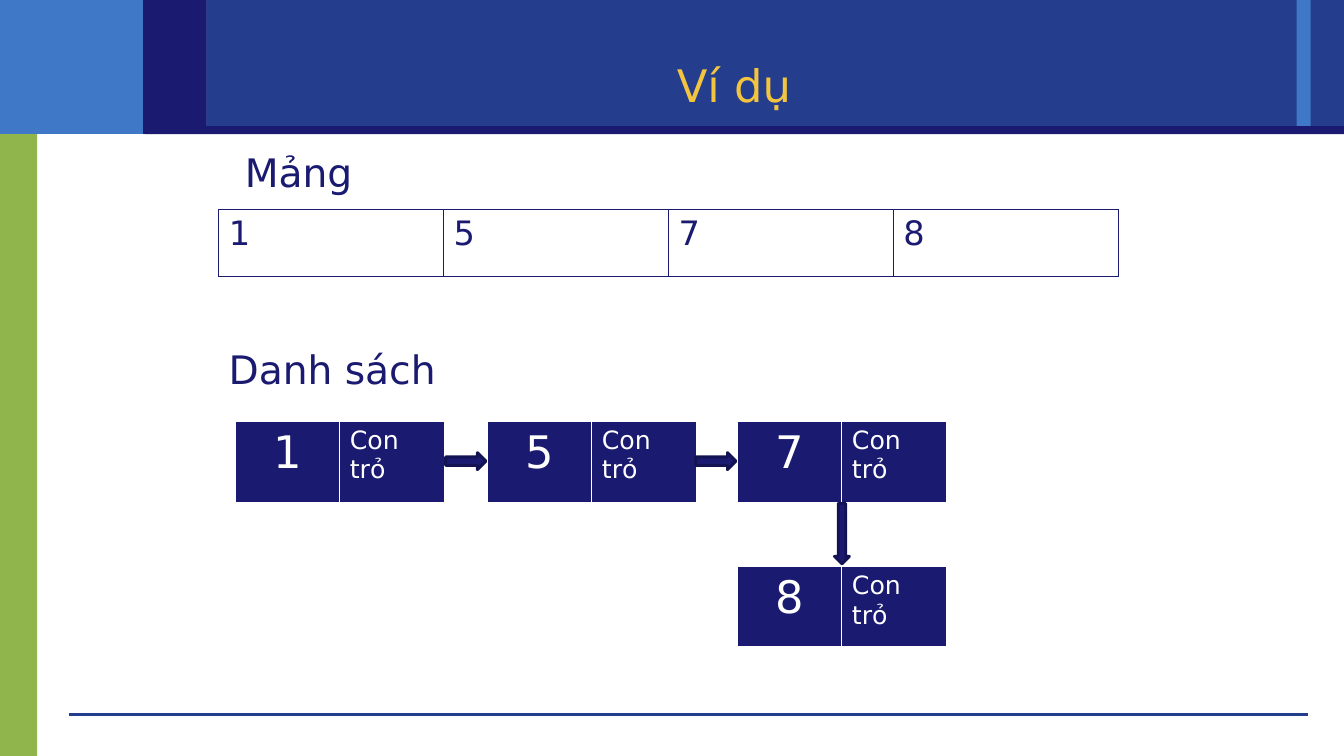
from lxml import etree
from pptx import Presentation
from pptx.dml.color import RGBColor
from pptx.enum import shapes, text
from pptx.oxml import ns
from pptx.util import Inches, Pt

FONT = "DejaVu Sans"
NAVY, BLUE, SKY = "1A1A70", "243D8C", "3E78C6"
GREEN, GOLD, WHITE, EDGE = "90B54D", "F3C43F", "FFFFFF", "131353"
LEFT, CENTER = text.PP_ALIGN.LEFT, text.PP_ALIGN.CENTER
ARRAY_BORDERS = {side: (NAVY, 1) for side in "LRTB"}
NODE_BORDERS = {"L": (WHITE, 1), "R": (WHITE, 1), "T": (WHITE, 1), "B": (WHITE, 3)}


def color(value):
    """Turn a hex string into a colour."""
    return RGBColor.from_string(value)


def write(frame, words, size, ink, align=LEFT):
    """Write one formatted run in a text frame."""
    para = frame.paragraphs[0]
    para.alignment = align
    span = para.add_run()
    span.text = words
    span.font.name = FONT
    span.font.size = Pt(size)
    span.font.color.rgb = color(ink)


def add_block(page, kind, place, fill, edge=None, turn=0):
    """Add a filled preset shape, outlined when an edge colour is given."""
    block = page.shapes.add_shape(kind, *map(Inches, place))
    block.shadow.inherit = False
    block.fill.solid()
    block.fill.fore_color.rgb = color(fill)
    block.rotation = turn
    if edge:
        block.line.color.rgb = color(edge)
        block.line.width = Pt(2)
    else:
        block.line.fill.background()


def add_rule(page, left, right, top):
    """Add the thin horizontal line at the foot."""
    rule = page.shapes.add_connector(
        shapes.MSO_CONNECTOR.STRAIGHT, Inches(left), Inches(top), Inches(right), Inches(top))
    rule.line.color.rgb = color(BLUE)
    rule.line.width = Pt(0)
    etree.SubElement(rule.element.spPr, ns.qn("a:effectLst"))


def add_title(page, words):
    """Place the title placeholder in front of the header band."""
    title = page.shapes.title
    title.left, title.top, title.width, title.height = map(Inches, (2, 0.51, 10.56, 0.66))
    title.text_frame.vertical_anchor = text.MSO_ANCHOR.MIDDLE
    write(title.text_frame, words, 32, GOLD, CENTER)
    title.element.getparent().append(title.element)


def add_label(page, place, words):
    """Add a section label."""
    frame = page.shapes.add_textbox(*map(Inches, place)).text_frame
    frame.word_wrap = True
    frame.auto_size = text.MSO_AUTO_SIZE.SHAPE_TO_FIT_TEXT
    write(frame, words, 28, NAVY)


def set_borders(cell, borders):
    """Draw the sides of a table cell."""
    properties = cell._tc.get_or_add_tcPr()
    for index, (side, (ink, width)) in enumerate(borders.items()):
        line = etree.Element(ns.qn(f"a:ln{side}"), w=str(Pt(width)))
        fill = etree.SubElement(line, ns.qn("a:solidFill"))
        etree.SubElement(fill, ns.qn("a:srgbClr"), val=ink)
        properties.insert(index, line)


def add_row(page, place, entries, ink, borders, fill=None):
    """Add a one-row table from (words, size, alignment) entries."""
    table = page.shapes.add_table(1, len(entries), *map(Inches, place)).table
    table.first_row = table.horz_banding = False
    for cell, entry in zip(table.iter_cells(), entries):
        words, size, align = entry
        if fill:
            cell.fill.solid()
            cell.fill.fore_color.rgb = color(fill)
        else:
            cell.fill.background()
        set_borders(cell, borders)
        write(cell.text_frame, words, size, ink, align)


def add_node(page, left, top, height, value):
    """Add a list node holding a value and a pointer."""
    entries = [(value, 32, CENTER), ("Con trỏ", 18, LEFT)]
    add_row(page, (left, top, 2.08, height), entries, WHITE, NODE_BORDERS, NAVY)


def main():
    """Build the slide."""
    deck = Presentation()
    deck.slide_width, deck.slide_height = Inches(13.33), Inches(7.5)
    page = deck.slides.add_slide(deck.slide_layouts[5])
    rectangle = shapes.MSO_SHAPE.RECTANGLE
    for place, fill in (
        ((0, 1.07, 0.37, 6.43), GREEN),
        ((0, 0, 2.05, 1.33), SKY),
        ((2.05, 0, 11.28, 1.33), BLUE),
        ((12.86, 0, 0.14, 1.25), SKY),
        ((1.44, 1.25, 11.89, 0.08), NAVY),
        ((1.42, 0, 0.63, 1.33), NAVY),
    ):
        add_block(page, rectangle, place, fill)
    add_rule(page, 0.68, 12.97, 7.09)
    add_title(page, "Ví dụ")

    numbers = [(value, 24, LEFT) for value in "1578"]
    add_row(page, (2.17, 2.08, 8.92, 0.66), numbers, NAVY, ARRAY_BORDERS)
    add_label(page, (2.33, 1.42, 2.25, 0.57), "Mảng")
    add_label(page, (2.17, 3.38, 3.33, 0.57), "Danh sách")

    for value, left in zip("157", (2.33, 4.83, 7.31)):
        add_node(page, left, 4.18, 0.82, value)
    add_node(page, 7.31, 5.62, 0.81, "8")
    for place, turn in (
        ((4.42, 4.49, 0.4, 0.17), 0),
        ((6.9, 4.49, 0.4, 0.17), 0),
        ((8.05, 5.22, 0.6, 0.15), 90),
    ):
        add_block(page, shapes.MSO_SHAPE.RIGHT_ARROW, place, NAVY, EDGE, turn)
    deck.save("out.pptx")


if __name__ == "__main__":
    main()
